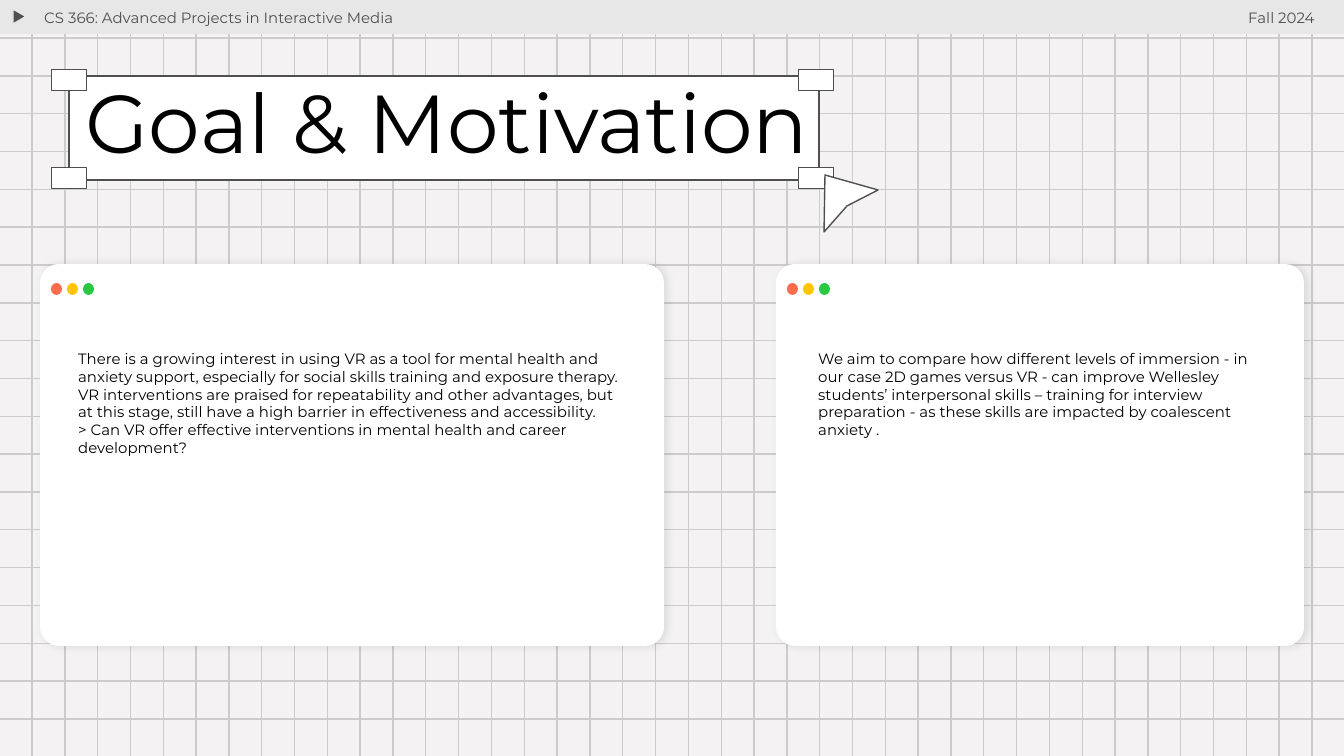
from lxml import etree
from pptx import Presentation
from pptx.dml.color import RGBColor
from pptx.enum import shapes, text
from pptx.oxml import parse_xml
from pptx.oxml.ns import nsdecls, qn
from pptx.util import Pt

PX = 914400 / 134.4
WIDTH, HEIGHT = 1344, 756
FONT = "Montserrat"
BLACK, GREY, WHITE = "000000", "4F4F4F", "FFFFFF"
DOT_COLOURS = ["FF6B4D", "FFC600", "28C840"]
SHAPE = shapes.MSO_SHAPE
LEFT, RIGHT = text.PP_ALIGN.LEFT, text.PP_ALIGN.RIGHT

TITLE = "Goal & Motivation"
TITLE_BOX = (69, 76, 750, 104)
HANDLE = (35, 21)
CURSOR = [(825, 175), (824, 232), (847, 206), (878, 190)]

# text, box, alignment
HEADERS = [
    ("CS 366: Advanced Projects in Interactive Media", (31, -5, 560, 46), LEFT),
    ("Fall 2024", (1160, -5, 168, 46), RIGHT),
]

# card box, text box, paragraphs
CARDS = [
    ((40, 264, 624, 382), (65, 336, 574, 271), [
        "There is a growing interest in using VR as a tool for mental health and "
        "anxiety support, especially for social skills training and exposure therapy. "
        "VR interventions are praised for repeatability and other advantages, but at "
        "this stage, still have a high barrier in effectiveness and accessibility.",
        "> Can VR offer effective interventions in mental health and career development?",
    ]),
    ((776, 264, 528, 382), (805, 336, 470, 218), [
        "We aim to compare how different levels of immersion - in our case 2D games "
        "versus VR - can improve Wellesley students’ interpersonal skills – training "
        "for interview preparation - as these skills are impacted by coalescent anxiety .",
    ]),
]


def px(*lengths):
    return [round(length * PX) for length in lengths]


def rgb(colour):
    return RGBColor.from_string(colour)


def paint(shape, fill, line=None):
    shape.shadow.inherit = False
    shape.fill.solid()
    shape.fill.fore_color.rgb = rgb(fill)
    if line:
        shape.line.color.rgb = rgb(line)
        shape.line.width = Pt(0.75)
    else:
        shape.line.fill.background()
    return shape


def add(kind, box, fill, line=None):
    return paint(slide.shapes.add_shape(kind, *px(*box)), fill, line)


def grid_line(x1, y1, x2, y2):
    line = slide.shapes.add_connector(shapes.MSO_CONNECTOR.STRAIGHT, *px(x1, y1, x2, y2))
    line.line.color.rgb = rgb("CCCCCC")
    line.line.width = Pt(0.75)
    etree.SubElement(line._element.spPr, qn("a:effectLst"))


def write(shape, paragraphs, size, colour, align=LEFT):
    frame = shape.text_frame
    frame.word_wrap = True
    frame.auto_size = text.MSO_AUTO_SIZE.NONE
    frame.vertical_anchor = text.MSO_ANCHOR.TOP
    frame.margin_left = frame.margin_right = Pt(7.2)
    frame.margin_top = frame.margin_bottom = Pt(7.2)
    frame.text = "\n".join(paragraphs)
    for paragraph in frame.paragraphs:
        paragraph.alignment = align
        paragraph.font.name = FONT
        paragraph.font.size = Pt(size)
        paragraph.font.color.rgb = rgb(colour)


def soft_shadow(shape):
    spPr = shape._element.spPr
    spPr.remove(spPr.find(qn("a:effectLst")))
    spPr.append(parse_xml(
        f'<a:effectLst {nsdecls("a")}>'
        '<a:outerShdw blurRad="57150" dist="19050" dir="0" algn="bl" rotWithShape="0">'
        '<a:srgbClr val="000000"><a:alpha val="10000"/></a:srgbClr>'
        '</a:outerShdw></a:effectLst>'))


prs = Presentation()
prs.slide_width, prs.slide_height = px(WIDTH, HEIGHT)
slide = prs.slides.add_slide(prs.slide_layouts[5])
slide.background.fill.solid()
slide.background.fill.fore_color.rgb = rgb("F4F2F2")

# Grid paper
for row in range(19):
    y = 38 + row * (719 - 38) / 18
    grid_line(0, y, WIDTH, y)
for column in range(40):
    x = 32 + column * (1312 - 32) / 39
    grid_line(x, 0, x, HEIGHT)

# Header bar
add(SHAPE.RECTANGLE, (0, 0, WIDTH, 34), "E7E7E7")
play = add(SHAPE.ISOSCELES_TRIANGLE, (12, 10, 15, 13), GREY, "E7E7E7")
play.rotation = 90
for label, box, align in HEADERS:
    write(slide.shapes.add_textbox(*px(*box)), [label], 8, GREY, align)

# Title frame with a handle centred near each corner
left, top, width, height = TITLE_BOX
add(SHAPE.RECTANGLE, TITLE_BOX, WHITE, GREY)
handle_width, handle_height = HANDLE
for x in (left, left + width - 3):
    for y in (top + 4, top + height - 2):
        add(SHAPE.RECTANGLE, (x - handle_width / 2, y - handle_height / 2, *HANDLE), WHITE, GREY)

outline = slide.shapes.build_freeform(*px(*CURSOR[0]), scale=1.0)
outline.add_line_segments([px(*point) for point in CURSOR[1:]], close=True)
paint(outline.convert_to_shape(), WHITE, GREY)

title = slide.shapes.title
title.left, title.top, title.width, title.height = px(72, 69, 1079, 117)
write(title, [TITLE], 44, BLACK)
title.text_frame.paragraphs[0].line_spacing = 0.9
slide.shapes._spTree.append(title._element)  # bring in front of its frame

# Window cards
for card_box, text_box, paragraphs in CARDS:
    card = add(SHAPE.ROUNDED_RECTANGLE, card_box, WHITE)
    card.adjustments[0] = 0.05
    soft_shadow(card)
    for i, colour in enumerate(DOT_COLOURS):
        add(SHAPE.OVAL, (card_box[0] + 11 + 16 * i, card_box[1] + 19, 11, 12), colour)
    write(slide.shapes.add_textbox(*px(*text_box)), paragraphs, 8, BLACK)

prs.save("out.pptx")
